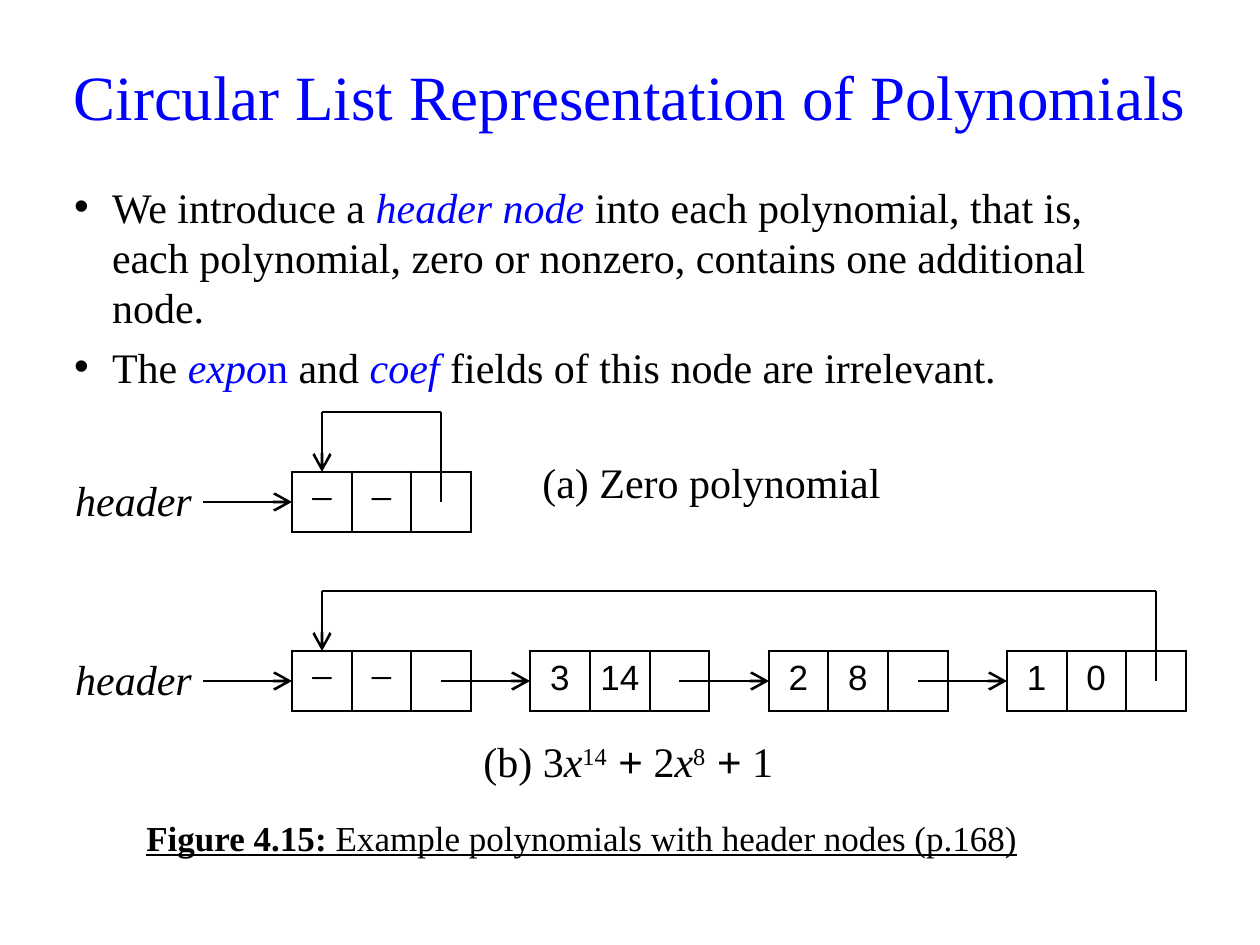
from pptx import Presentation
from pptx.dml.color import RGBColor
from pptx.enum.shapes import MSO_CONNECTOR
from pptx.enum.text import MSO_ANCHOR as ANCHOR, PP_ALIGN as ALIGN
from pptx.oxml.ns import qn
from pptx.util import Emu, Pt
from lxml.etree import SubElement

PX_PER_INCH = 126
BLACK = RGBColor(0, 0, 0)
BLUE = RGBColor(0, 0, 255)
SERIF = "Times New Roman"
SANS = "Arial"
RULE = Pt(1.5)

TABLE_LEFT = 292
ROW_HEIGHT = 60
SLOTS_WIDTH, SLOTS = 894, 15
NODE_STEP = 4
LINK_SLOT = 2
HEADER_NODE = ("−", "−")
TERMS = [("3", "14"), ("2", "8"), ("1", "0")]

BASE = dict(name=SERIF, size=Pt(24), color=BLACK)
ITALIC = dict(italic=True)
KEYWORD = dict(italic=True, color=BLUE)
POWER = dict(baseline=30000)
SYMBOL = dict(name=SANS)
DIGIT = dict(name=SANS, size=Pt(20))
CAPTION = dict(size=Pt(20), underline=True)

INTRO = [
    [("We introduce a ", {}), ("header node", KEYWORD),
     (" into each polynomial, that is, each polynomial, zero or nonzero, "
      "contains one additional node.", {})],
    [("The ", {}), ("expo", KEYWORD), ("n", dict(color=BLUE)), (" and ", {}),
     ("coef", KEYWORD), (" fields of this node are irrelevant.", {})],
]
POLYNOMIAL = [
    ("(b) 3", {}), ("x", ITALIC), ("14", POWER), (" +", SYMBOL),
    (" 2", {}), ("x", ITALIC), ("8", POWER), (" +", SYMBOL), (" 1", {}),
]
FIGURE = [
    ("Figure 4.15:", dict(CAPTION, bold=True)),
    (" Example polynomials with header nodes (p.168)", CAPTION),
]


def px(length):
    return Emu(round(length * 914400 / PX_PER_INCH))


def slot_x(slot):
    return TABLE_LEFT + round(slot * SLOTS_WIDTH / SLOTS)


def set_values(target, values):
    for attribute, value in values.items():
        setattr(target, attribute, value)


def add_runs(paragraph, pieces):
    for text, style in pieces:
        values = {**BASE, **style}
        color = values.pop("color")
        baseline = values.pop("baseline", None)
        run = paragraph.add_run()
        run.text = text
        set_values(run.font, values)
        run.font.color.rgb = color
        if baseline:
            run.font._element.set("baseline", str(baseline))


def place(shape, left, top, width, height):
    set_values(shape, dict(left=px(left), top=px(top),
                           width=px(width), height=px(height)))


def add_title(slide, text):
    title = slide.shapes.title
    place(title, 55, 36, 1150, 118)
    title.text_frame.vertical_anchor = ANCHOR.MIDDLE
    paragraph = title.text_frame.paragraphs[0]
    paragraph.alignment = ALIGN.CENTER
    add_runs(paragraph, [(text, dict(size=Pt(36), color=BLUE))])


def add_text(slide, box, pieces, align=ALIGN.LEFT, **frame_values):
    frame = slide.shapes.add_textbox(*map(px, box)).text_frame
    set_values(frame, dict(word_wrap=False, vertical_anchor=ANCHOR.MIDDLE,
                           margin_right=0, **frame_values))
    paragraph = frame.paragraphs[0]
    paragraph.alignment = align
    add_runs(paragraph, pieces)


def add_bullets(slide, box, items):
    frame = slide.shapes.add_textbox(*map(px, box)).text_frame
    set_values(frame, dict(word_wrap=True, margin_left=0, margin_right=px(30)))
    for index, pieces in enumerate(items):
        paragraph = frame.add_paragraph() if index else frame.paragraphs[0]
        properties = paragraph._p.get_or_add_pPr()
        properties.set("marL", str(px(38)))
        properties.set("indent", str(-px(38)))
        SubElement(properties, qn("a:buFont")).set("typeface", SANS)
        SubElement(properties, qn("a:buChar")).set("char", "•")
        if index:
            paragraph.space_before = Pt(5)
        add_runs(paragraph, pieces)


def set_borders(cell, visible_sides):
    properties = cell._tc.get_or_add_tcPr()
    for side in "LRTB":
        border = SubElement(properties, qn(f"a:ln{side}"))
        if side in visible_sides:
            border.set("w", str(RULE))
            fill = SubElement(border, qn("a:solidFill"))
            SubElement(fill, qn("a:srgbClr")).set("val", str(BLACK))
        else:
            SubElement(border, qn("a:noFill"))


def add_nodes(slide, top, nodes):
    count = len(nodes) * NODE_STEP - 1
    table = slide.shapes.add_table(
        1, count, px(TABLE_LEFT), px(top),
        px(slot_x(count) - TABLE_LEFT), px(ROW_HEIGHT)).table
    set_values(table, dict(first_row=False, horz_banding=False))
    for slot in range(count):
        table.columns[slot].width = px(slot_x(slot + 1) - slot_x(slot))
        cell = table.cell(0, slot)
        node, field = divmod(slot, NODE_STEP)
        set_borders(cell, "LR" if field > LINK_SLOT else "LRTB")
        cell.fill.background()
        set_values(cell, dict(margin_left=px(10), margin_right=px(10), margin_top=0,
                              margin_bottom=px(5), vertical_anchor=ANCHOR.MIDDLE))
        if field < LINK_SLOT:
            paragraph = cell.text_frame.paragraphs[0]
            paragraph.alignment = ALIGN.CENTER
            add_runs(paragraph, [(nodes[node][field], DIGIT if node else {})])


def add_line(slide, start, end, arrow=False):
    line = slide.shapes.add_connector(MSO_CONNECTOR.STRAIGHT, *map(px, start + end))
    line.line.width = RULE
    line.line.color.rgb = BLACK
    if arrow:
        head = SubElement(line.line._get_or_add_ln(), qn("a:tailEnd"))
        for attribute, value in dict(type="arrow", w="lg", len="lg").items():
            head.set(attribute, value)
    SubElement(line._element.spPr, qn("a:effectLst"))


def add_circular_list(slide, top, nodes):
    add_nodes(slide, top, nodes)
    middle, loop = top + ROW_HEIGHT // 2, top - ROW_HEIGHT
    add_text(slide, (64, top, 139, ROW_HEIGHT), [("header", ITALIC)], ALIGN.CENTER,
             margin_left=0, margin_top=0, margin_bottom=px(5))
    add_line(slide, (203, middle), (TABLE_LEFT, middle), arrow=True)
    for node in range(1, len(nodes)):
        target = node * NODE_STEP
        add_line(slide, (slot_x(target - 1.5), middle), (slot_x(target), middle), arrow=True)
    first = slot_x(0.5)
    last = slot_x((len(nodes) - 1) * NODE_STEP + LINK_SLOT + 0.5)
    add_line(slide, (last, middle), (last, loop))
    add_line(slide, (last, loop), (first, loop))
    add_line(slide, (first, loop), (first, top), arrow=True)


def main():
    deck = Presentation()
    set_values(deck, dict(slide_width=px(1260), slide_height=px(945)))
    slide = deck.slides.add_slide(deck.slide_layouts[5])
    add_title(slide, "Circular List Representation of Polynomials")
    add_bullets(slide, (74, 175, 1112, 179), INTRO)
    add_circular_list(slide, 472, [HEADER_NODE])
    add_text(slide, (530, 452, 358, 60), [("(a) Zero polynomial", {})])
    add_circular_list(slide, 651, [HEADER_NODE] + TERMS)
    add_text(slide, (471, 731, 318, 60), POLYNOMIAL)
    add_text(slide, (134, 808, 993, 59), FIGURE)
    deck.save("out.pptx")


if __name__ == "__main__":
    main()
